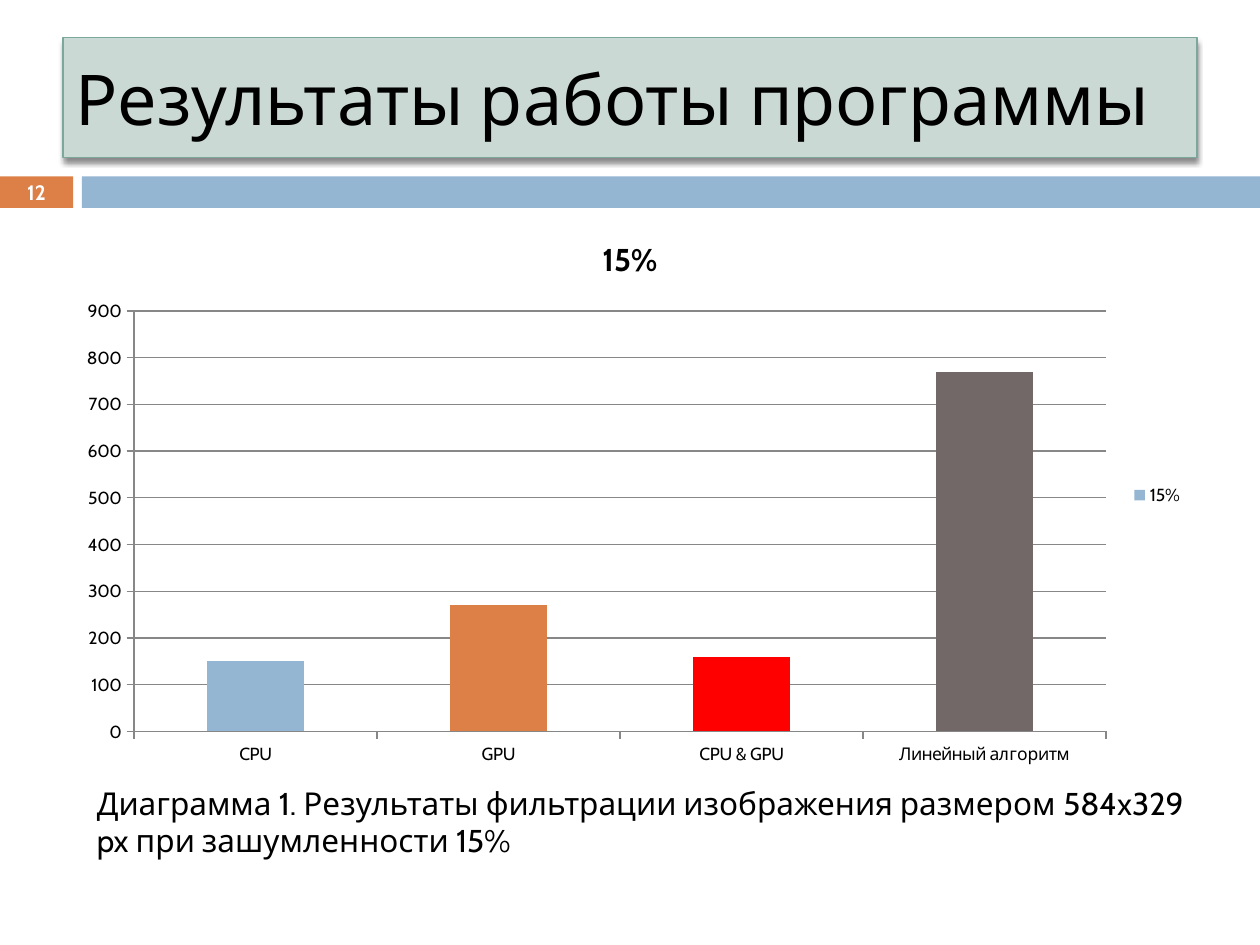
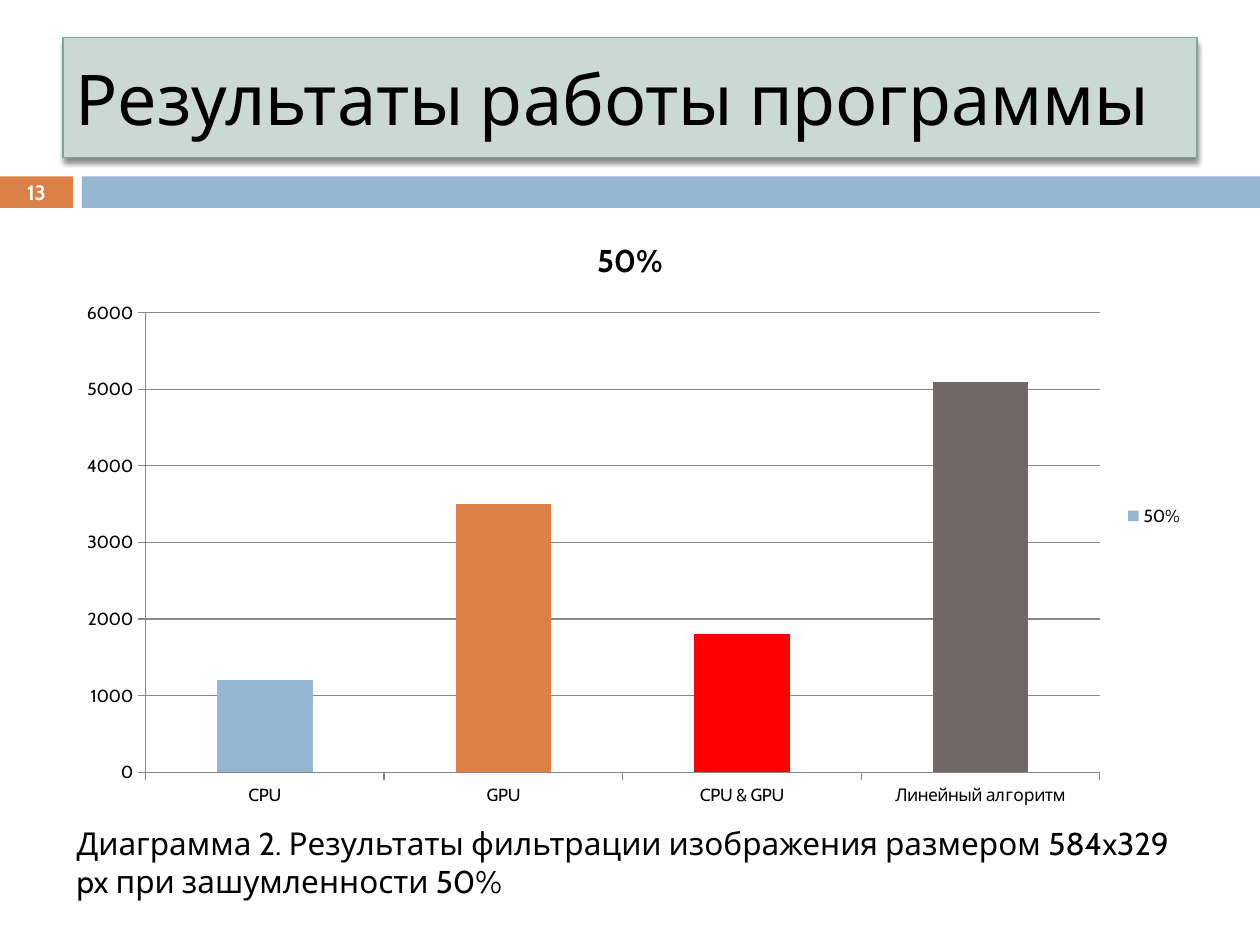
from lxml.etree import SubElement
from pptx import Presentation
from pptx.chart.data import CategoryChartData
from pptx.dml.color import RGBColor
from pptx.enum.chart import XL_CHART_TYPE, XL_LEGEND_POSITION, XL_TICK_MARK
from pptx.enum.shapes import MSO_SHAPE
from pptx.enum.text import MSO_ANCHOR, MSO_AUTO_SIZE, PP_ALIGN
from pptx.oxml.ns import qn
from pptx.util import Inches, Pt

FONT = "Cabin"
COLOURS = {
    "text": "000000",
    "white": "FFFFFF",
    "blue": "94B6D2",
    "orange": "DD8047",
    "red": "FF0000",
    "brown": "726868",
    "title_fill": "CBD9D5",
    "title_line": "7BA79D",
    "axis": "878787",
}
BAR_COLOURS = ["blue", "orange", "red", "brown"]
ALGORITHMS = ["CPU", "GPU", "CPU & GPU", "Линейный алгоритм"]
TITLE = "Результаты работы программы"
RESULTS = [
    {
        "number": 12,
        "noise": "15%",
        "times": [150, 270, 160, 770],
        "chart_height": 4.46,
        "caption": "Диаграмма 1. Результаты фильтрации изображения размером 584x329 px при зашумленности 15%",
        "caption_place": (0.67, 6.17, 8.9, 0.71),
    },
    {
        "number": 13,
        "noise": "50%",
        "times": [1200, 3500, 1800, 5100],
        "chart_height": 4.79,
        "caption": "Диаграмма 2. Результаты фильтрации изображения размером 584x329 px при зашумленности 50%",
        "caption_place": (0.51, 6.49, 8.98, 0.71),
    },
]


def colour(name):
    return RGBColor.from_string(COLOURS[name])


def place(*lengths):
    return [Inches(length) for length in lengths]


def paint(fill, name):
    fill.solid()
    fill.fore_color.rgb = colour(name)


def style_font(font, size, name="text", bold=False):
    font.name = FONT
    font.size = Pt(size)
    font.bold = bold
    font.color.rgb = colour(name)


def write(shape, text, size, name="text", bold=False, align=PP_ALIGN.LEFT):
    frame = shape.text_frame
    frame.text = text
    frame.word_wrap = True
    paragraph = frame.paragraphs[0]
    paragraph.alignment = align
    style_font(paragraph.runs[0].font, size, name, bold)
    return frame


def add_band(page, left, width, fill):
    band = page.shapes.add_shape(MSO_SHAPE.RECTANGLE, *place(left, 1.4, width, 0.25))
    band.shadow.inherit = False
    paint(band.fill, fill)
    band.line.fill.background()


def add_page_number(page, number):
    box = page.shapes.add_textbox(*place(0, 1.39, 0.58, 0.27))
    frame = write(box, str(number), 11.9, "white", True, PP_ALIGN.CENTER)
    frame.vertical_anchor = MSO_ANCHOR.MIDDLE
    frame.margin_left = frame.margin_right = 0
    frame.margin_top = frame.margin_bottom = 0


def add_shadow(shape):
    effects = SubElement(shape.element.spPr, qn("a:effectLst"))
    shadow = SubElement(
        effects, qn("a:outerShdw"), blurRad=str(Pt(3)), dist=str(Pt(2.4)),
        dir="5400000", rotWithShape="0",
    )
    black = SubElement(shadow, qn("a:srgbClr"), val=COLOURS["text"])
    SubElement(black, qn("a:alpha"), val="45000")


def set_title(page):
    title = page.shapes.title
    title.left, title.top, title.width, title.height = place(0.5, 0.3, 9, 0.95)
    paint(title.fill, "title_fill")
    title.line.color.rgb = colour("title_line")
    title.line.width = Pt(0.79)
    add_shadow(title)
    frame = write(title, TITLE, 40)
    frame.auto_size = MSO_AUTO_SIZE.NONE
    frame.vertical_anchor = MSO_ANCHOR.MIDDLE


def style_axis(axis):
    axis.major_tick_mark = XL_TICK_MARK.OUTSIDE
    axis.minor_tick_mark = XL_TICK_MARK.NONE
    axis.format.line.color.rgb = colour("axis")


def add_results_chart(page, noise, times, height):
    data = CategoryChartData()
    data.categories = ALGORITHMS
    data.add_series(noise, times)
    frame = page.shapes.add_chart(
        XL_CHART_TYPE.COLUMN_CLUSTERED, *place(0.51, 1.7, 8.98, height), data
    )
    chart = frame.chart
    style_font(chart.font, 10)

    chart.has_title = True
    chart.chart_title.include_in_layout = False
    heading = chart.chart_title.text_frame
    heading.text = noise
    style_font(heading.paragraphs[0].runs[0].font, 18, bold=True)

    chart.has_legend = True
    chart.legend.position = XL_LEGEND_POSITION.RIGHT
    chart.legend.include_in_layout = False

    style_axis(chart.category_axis)
    style_axis(chart.value_axis)
    chart.value_axis.has_major_gridlines = True
    chart.value_axis.major_gridlines.format.line.color.rgb = colour("axis")

    plot = chart.plots[0]
    plot.gap_width = 150
    plot.vary_by_categories = False
    series = plot.series[0]
    paint(series.format.fill, BAR_COLOURS[0])
    for index, name in enumerate(BAR_COLOURS[1:], 1):
        paint(series.points[index].format.fill, name)


def add_caption(page, text, position):
    box = page.shapes.add_textbox(*place(*position))
    write(box, text, 18).auto_size = MSO_AUTO_SIZE.SHAPE_TO_FIT_TEXT


def add_result_page(deck, result):
    page = deck.slides.add_slide(deck.slide_layouts[5])
    add_band(page, 0, 0.58, "orange")
    add_band(page, 0.65, 9.35, "blue")
    set_title(page)
    add_page_number(page, result["number"])
    add_results_chart(page, result["noise"], result["times"], result["chart_height"])
    add_caption(page, result["caption"], result["caption_place"])


def main():
    deck = Presentation()
    deck.slide_width, deck.slide_height = place(10, 7.5)
    for result in RESULTS:
        add_result_page(deck, result)
    deck.save("out.pptx")


if __name__ == "__main__":
    main()
